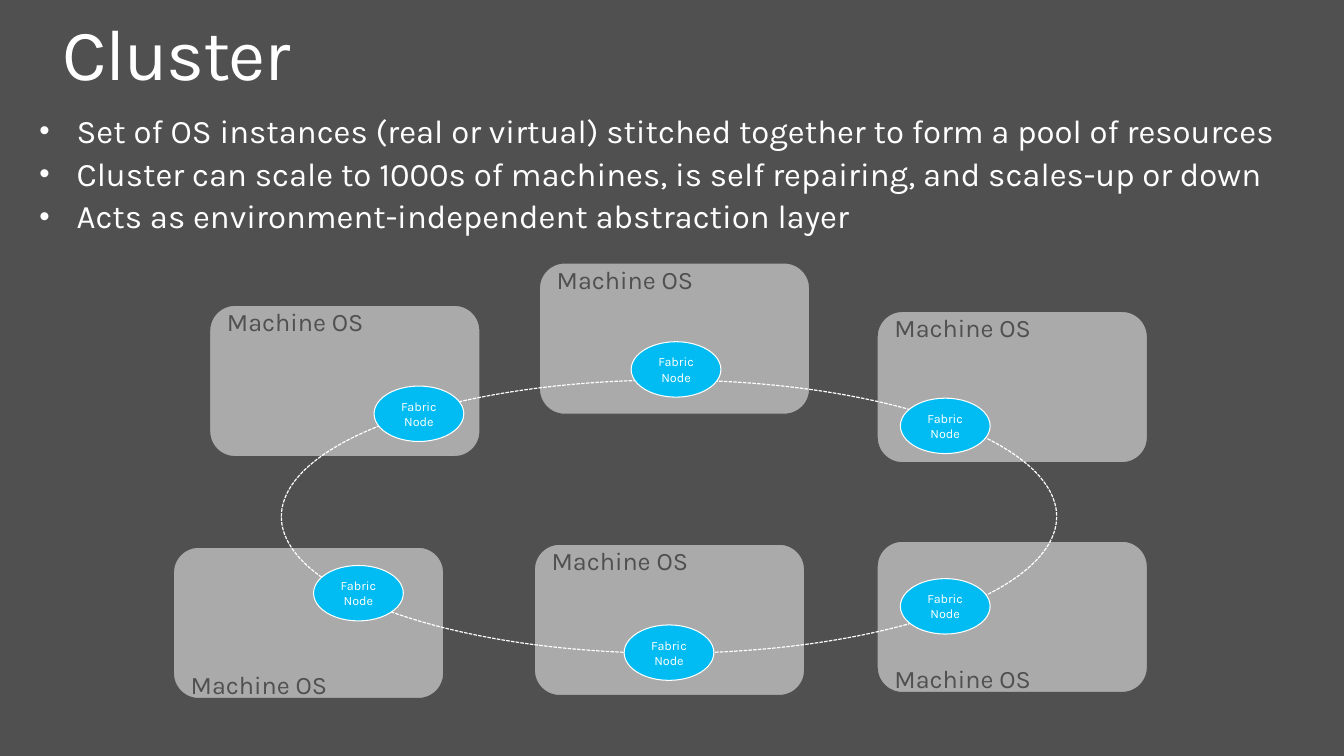
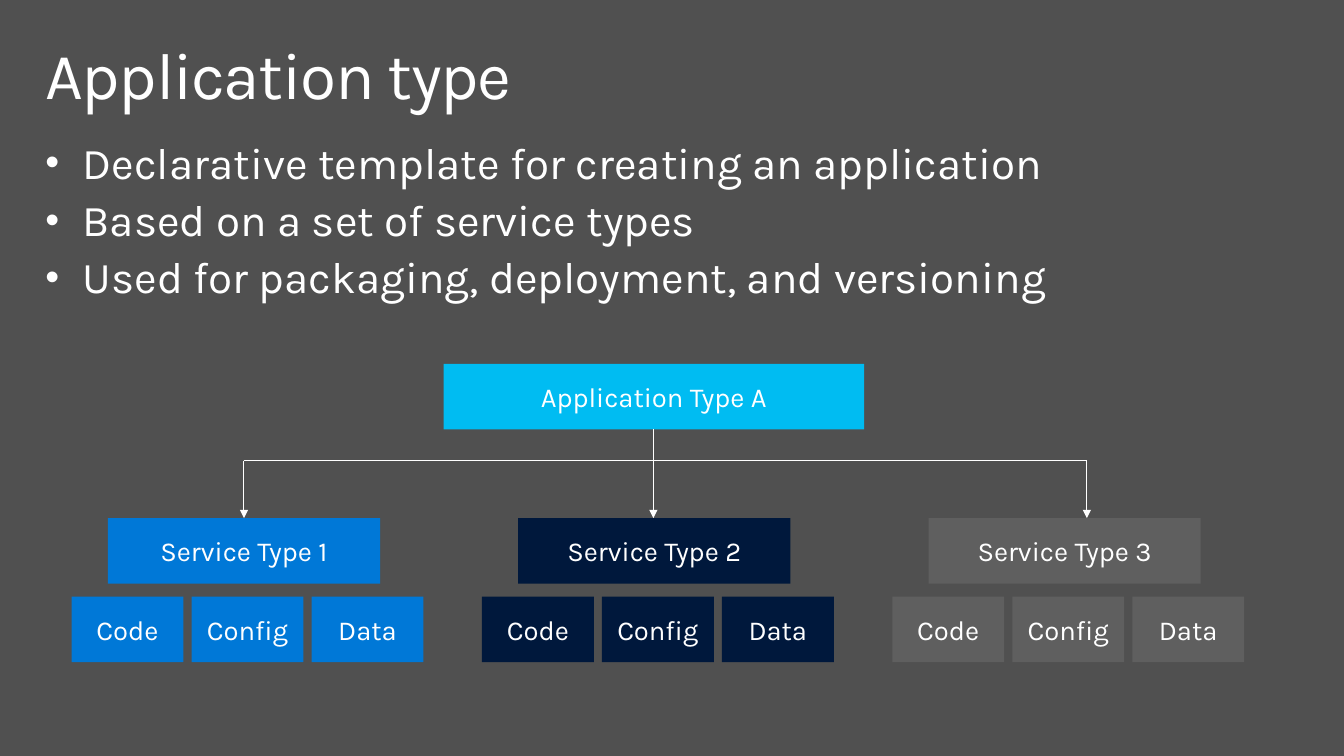
from lxml import etree
from pptx import Presentation
from pptx import util as u
from pptx.dml.color import RGBColor
from pptx.enum import dml, shapes, text
from pptx.oxml import ns

# Shared style
FONT = "Karla"
BACKGROUND, WHITE, CYAN, SILVER = "505050", "FFFFFF", "00BCF2", "AAAAAA"
TEXT_INSETS = (0.16, 0.1, 0.16, 0.1)

# Cluster slide
CLUSTER_TITLE = ("Cluster", 0.46, 0.08, 51.6)
CLUSTER_POINTS = [
    "Set of OS instances (real or virtual) stitched together to form a pool of resources",
    "Cluster can scale to 1000s of machines, is self repairing, and scales-up or down",
    "Acts as environment-independent abstraction layer",
]
MACHINE_LABEL, NODE_LABEL = "Machine OS", "Fabric\nNode"
MACHINE_SIZE, NODE_SIZE = (2.68, 1.5), (0.89, 0.55)
RING = (2.79, 3.77, 7.69, 2.71)
MACHINES = [  # machine corner, label at the bottom, node corner
    ((2.08, 3.03), False, (3.71, 3.83)),
    ((1.72, 5.43), True, (3.11, 5.61)),
    ((8.7, 5.37), True, (8.93, 5.74)),
    ((5.35, 2.61), False, (6.26, 3.39)),
    ((8.7, 3.09), False, (8.93, 3.95)),
    ((5.3, 5.4), False, (6.19, 6.2)),
]

# Application type slide
APPLICATION_TITLE = ("Application type", 0.29, 0.32, 47)
APPLICATION_POINTS = [
    "Declarative template for creating an application",
    "Based on a set of service types",
    "Used for packaging, deployment, and versioning",
]
APPLICATION = ("Application Type A", 4.4, 3.61, 4.17)
SERVICES = [  # name, fill, arrow position
    ("Service Type 1", "0078D7", 2.42),
    ("Service Type 2", "00183C", 6.48),
    ("Service Type 3", "5F5F5F", 10.78),
]
PARTS = ["Code", "Config", "Data"]
BOX_HEIGHT, SERVICE_WIDTH, PART_WIDTH = 0.65, 2.7, 1.11
SERVICE_LEFT, SERVICE_TOP, SERVICE_STEP = 1.07, 5.14, 4.07
PART_LEFT, PART_TOP, PART_STEP = 0.71, 5.92, 1.19
BRANCH_TOP = 4.57


def color(value):
    return RGBColor.from_string(value)


def inches(values):
    return [u.Inches(value) for value in values]


def add_slide(presentation):
    slide = presentation.slides.add_slide(presentation.slide_layouts[6])
    slide.background.fill.solid()
    slide.background.fill.fore_color.rgb = color(BACKGROUND)
    return slide


def set_insets(frame, insets):
    (frame.margin_left, frame.margin_top,
     frame.margin_right, frame.margin_bottom) = inches(insets)


def set_font(paragraph, size, font_color=WHITE):
    font = paragraph.font
    font.name, font.size = FONT, u.Pt(size)
    font.color.rgb = color(font_color)


def add_text_box(slide, box):
    frame = slide.shapes.add_textbox(*inches(box)).text_frame
    frame.word_wrap = True
    set_insets(frame, TEXT_INSETS)
    return frame


def add_title(slide, title, left, top, size):
    paragraph = add_text_box(slide, (left, top, 12.75, 0.98)).paragraphs[0]
    run = paragraph.add_run()
    run.text = title
    run._r.get_or_add_rPr().set("spc", "-100")
    paragraph.line_spacing = 0.9
    set_font(paragraph, size)


def add_bullets(slide, points, box, size):
    frame = add_text_box(slide, box)
    frame.text = "\n".join(points)
    for paragraph in frame.paragraphs:
        paragraph.line_spacing = 0.9
        paragraph.space_before = u.Pt(round(size * 0.22, 1))
        properties = paragraph._p.get_or_add_pPr()
        properties.set("marL", str(u.Inches(0.37)))
        properties.set("indent", str(u.Inches(-0.37)))
        etree.SubElement(properties, ns.qn("a:buSzPct")).set("val", "90000")
        etree.SubElement(properties, ns.qn("a:buFont")).set("typeface", "Arial")
        etree.SubElement(properties, ns.qn("a:buChar")).set("char", "•")
        set_font(paragraph, size)


def add_shape(slide, kind, box, fill=None, line=None, width=0.75):
    shape = slide.shapes.add_shape(kind, *inches(box))
    shape.shadow.inherit = False
    if fill:
        shape.fill.solid()
        shape.fill.fore_color.rgb = color(fill)
    else:
        shape.fill.background()
    if line:
        shape.line.color.rgb = color(line)
        shape.line.width = u.Pt(width)
    else:
        shape.line.fill.background()
    return shape


def add_label(shape, label, size, font_color=WHITE, insets=(0, 0.05, 0, 0.05),
              align=text.PP_ALIGN.CENTER, anchor=text.MSO_ANCHOR.MIDDLE):
    frame = shape.text_frame
    frame.text = label
    frame.vertical_anchor = anchor
    set_insets(frame, insets)
    for paragraph in frame.paragraphs:
        paragraph.alignment = align
        set_font(paragraph, size, font_color)


def add_block(slide, label, left, top, width, fill):
    box = (left, top, width, BOX_HEIGHT)
    add_label(add_shape(slide, shapes.MSO_SHAPE.RECTANGLE, box, fill), label, 19.6)


def add_line(slide, start, end, arrow=False):
    line = slide.shapes.add_connector(
        shapes.MSO_CONNECTOR.STRAIGHT, *inches(start + end))
    line.line.color.rgb = color(WHITE)
    line.line.width = u.Pt(0.75)
    if arrow:
        outline = line.line._get_or_add_ln()
        etree.SubElement(outline, ns.qn("a:tailEnd")).set("type", "triangle")
    etree.SubElement(line._element.spPr, ns.qn("a:effectLst"))


def build_cluster(presentation):
    slide = add_slide(presentation)

    # Machines, with labels tight against the top or bottom edge
    for corner, at_bottom, _ in MACHINES:
        machine = add_shape(slide, shapes.MSO_SHAPE.ROUNDED_RECTANGLE,
                            corner + MACHINE_SIZE, SILVER, BACKGROUND)
        anchor = text.MSO_ANCHOR.BOTTOM if at_bottom else text.MSO_ANCHOR.TOP
        add_label(machine, MACHINE_LABEL, 18, BACKGROUND, (0.1, -0.06, 0.1, -0.08),
                  text.PP_ALIGN.LEFT, anchor)

    # Ring and nodes
    oval = shapes.MSO_SHAPE.OVAL
    ring = add_shape(slide, oval, RING, line=WHITE, width=0.85)
    ring.line.dash_style = dml.MSO_LINE.SQUARE_DOT
    for _, _, corner in MACHINES:
        node = add_shape(slide, oval, corner + NODE_SIZE, CYAN, WHITE)
        add_label(node, NODE_LABEL, 9)

    add_bullets(slide, CLUSTER_POINTS, (0.23, 1.04, 13.65, 1.43), 23.5)
    add_title(slide, *CLUSTER_TITLE)


def build_application(presentation):
    slide = add_slide(presentation)
    add_bullets(slide, APPLICATION_POINTS, (0.29, 1.3, 12.74, 1.83), 31.4)
    add_title(slide, *APPLICATION_TITLE)

    # Application, services and their parts
    add_block(slide, *APPLICATION, CYAN)
    for column, (name, fill, _) in enumerate(SERVICES):
        offset = column * SERVICE_STEP
        add_block(slide, name, SERVICE_LEFT + offset, SERVICE_TOP, SERVICE_WIDTH, fill)
        for index, part in enumerate(PARTS):
            left = PART_LEFT + offset + index * PART_STEP
            add_block(slide, part, left, PART_TOP, PART_WIDTH, fill)

    # Stem, branch and arrows
    arrows = [arrow for _, _, arrow in SERVICES]
    stem = arrows[1]
    add_line(slide, (stem, APPLICATION[2] + BOX_HEIGHT), (stem, BRANCH_TOP))
    add_line(slide, (arrows[0], BRANCH_TOP), (arrows[-1], BRANCH_TOP))
    for arrow in arrows:
        add_line(slide, (arrow, BRANCH_TOP), (arrow, SERVICE_TOP), arrow=True)


presentation = Presentation()
presentation.slide_width, presentation.slide_height = inches((13.33, 7.5))
build_cluster(presentation)
build_application(presentation)
presentation.save("out.pptx")
